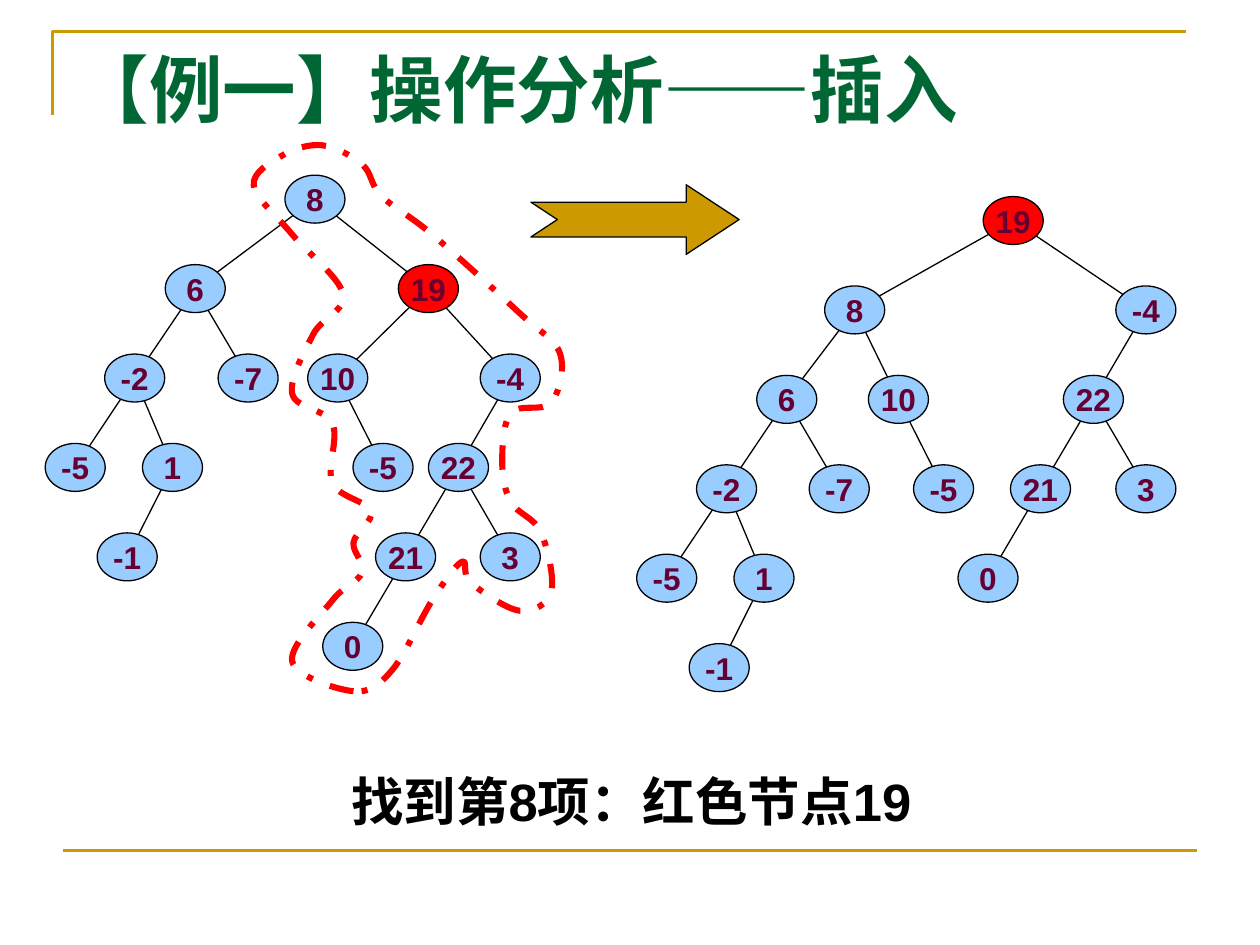
"""Build a slide on a list-tree insert, with the split path marked."""
from lxml import etree
from pptx import Presentation, util as u
from pptx.dml.color import RGBColor
from pptx.enum import dml, shapes, text
from pptx.oxml import ns

GOLD = RGBColor(0xCC, 0x99, 0x00)
GREEN = RGBColor(0x00, 0x66, 0x33)
BLUE = RGBColor(0x99, 0xCC, 0xFF)
RED = RGBColor(0xFF, 0x00, 0x00)
PLUM = RGBColor(0x66, 0x00, 0x33)
BLACK = RGBColor(0x00, 0x00, 0x00)

LEFT = ("8", 180,
        ("6", 111.6,
         ("-2", 77, ("-5", 43), ("1", 98.6, ("-1", 72.7))),
         ("-7", 141.8)),
        ("19", 244.8,
         ("10", 193, ("-5", 218.9)),
         ("-4", 291.6,
          ("22", 262, ("21", 231.8, ("0", 201.6)), ("3", 291.6)))))
RIGHT = ("19", 579,
         ("8", 488.4,
          ("6", 449.6,
           ("-2", 415.2, ("-5", 381), ("1", 436.6, ("-1", 411))),
           ("-7", 479.6)),
          ("10", 513.4, ("-5", 539.2))),
         ("-4", 654.8,
          ("22", 624.8, ("21", 594.6, ("0", 564.6)), ("3", 654.8))))
LOOP = [(202, 395), (167, 378), (190, 343), (207, 327), (202, 310),
        (212, 292), (190, 276), (190, 242), (167, 225), (179, 191),
        (196, 168), (167, 134), (145, 106), (161, 89), (184, 83),
        (207, 94), (218, 112), (247, 134), (297, 179), (320, 202),
        (315, 230), (292, 236), (287, 264), (292, 287), (309, 304),
        (315, 338), (297, 349), (269, 333), (264, 321), (247, 343),
        (224, 383)]


def put(item, vals):
    """Set each value of a dict on an object."""
    for name, val in vals.items():
        setattr(item, name, val)


def smooth(dots):
    """Return the Bezier points of a closed curve through the dots."""
    out = [dots[0]]
    for i, (bx, by) in enumerate(dots):
        ax, ay = dots[i - 1]
        cx, cy = dots[(i + 1) % len(dots)]
        dx, dy = dots[(i + 2) % len(dots)]
        out += [(bx + (cx - ax) / 6, by + (cy - ay) / 6),
                (cx - (dx - bx) / 6, cy - (dy - by) / 6), (cx, cy)]
    return out


class Board:
    """Hold the style and the slide, and draw each kind of element."""
    wide, high, step = 34.3, 27.4, 51.1
    node = {"name": "Arial", "size": u.Pt(18), "bold": True}
    head = {"name": "Times New Roman", "size": u.Pt(42), "bold": True}
    note = {"name": "Arial", "size": u.Pt(30), "bold": True}

    def __init__(self, slide):
        self.slide = slide
        self.draw = slide.shapes

    def paint(self, shape, fill, line, width):
        """Set fill, line and no shadow."""
        shape.shadow.inherit = False
        if fill is None:
            shape.fill.background()
        else:
            shape.fill.solid()
            shape.fill.fore_color.rgb = fill
        shape.line.color.rgb = line
        shape.line.width = u.Pt(width)

    def label(self, para, words, font, color):
        """Put one run of styled words in a paragraph."""
        run = para.add_run()
        run.text = words
        put(run.font, font)
        run.font.color.rgb = color

    def holder(self, index, words, box, font, color, form):
        """Fill and place a placeholder."""
        spot = self.slide.placeholders[index]
        put(spot, dict(zip(("left", "top", "width", "height"), map(u.Pt, box))))
        put(spot.text_frame, {"vertical_anchor": text.MSO_ANCHOR.TOP,
                              "auto_size": text.MSO_AUTO_SIZE.NONE})
        para = spot.text_frame.paragraphs[0]
        put(para, form)
        self.label(para, words, font, color)
        return para

    def line(self, start, end, color=BLACK, width=0.75):
        """Draw a straight line."""
        line = self.draw.add_connector(shapes.MSO_CONNECTOR.STRAIGHT,
                                       *map(u.Pt, (*start, *end)))
        line.line.color.rgb = color
        line.line.width = u.Pt(width)
        etree.SubElement(line._element.spPr, ns.qn("a:effectLst"))

    def trace(self, dots, color, width, close=False):
        """Draw an outline through the dots."""
        first, *rest = [(u.Pt(x), u.Pt(y)) for x, y in dots]
        pen = self.draw.build_freeform(*first)
        pen.add_line_segments(rest, close=close)
        shape = pen.convert_to_shape()
        self.paint(shape, None, color, width)
        return shape

    def curve(self, dots, color, width):
        """Draw a closed, smooth, dash-dot loop."""
        shape = self.trace(smooth(dots), color, width, close=True)
        shape.line.dash_style = dml.MSO_LINE.DASH_DOT
        legs = list(shape._element.iter(ns.qn("a:lnTo")))
        for i in range(0, len(legs) - 2, 3):
            bend = etree.Element(ns.qn("a:cubicBezTo"))
            legs[i].addprevious(bend)
            for leg in legs[i:i + 3]:
                bend.append(leg[0])
                leg.getparent().remove(leg)

    def arrow(self, box):
        """Draw the notched arrow."""
        shape = self.draw.add_shape(shapes.MSO_SHAPE.NOTCHED_RIGHT_ARROW,
                                    *map(u.Pt, box))
        shape.adjustments[1] = 0.76
        self.paint(shape, GOLD, BLACK, 0.75)

    def edges(self, node, y):
        """Join each node of a tree to its children."""
        _, x, *kids = node
        for kid in kids:
            self.line((x, y), (kid[1], y + self.step))
            self.edges(kid, y + self.step)

    def nodes(self, node, y):
        """Draw the ovals of a tree."""
        name, x, *kids = node
        box = (x - self.wide / 2, y - self.high / 2, self.wide, self.high)
        oval = self.draw.add_shape(shapes.MSO_SHAPE.OVAL, *map(u.Pt, box))
        self.paint(oval, RED if name == "19" else BLUE, BLACK, 0.75)
        put(oval.text_frame, {"word_wrap": False,
                              "vertical_anchor": text.MSO_ANCHOR.MIDDLE})
        para = oval.text_frame.paragraphs[0]
        para.alignment = text.PP_ALIGN.CENTER
        self.label(para, name, self.node, PLUM)
        for kid in kids:
            self.nodes(kid, y + self.step)

    def tree(self, root, y):
        """Draw a tree as one group, edges behind nodes."""
        self.draw = self.slide.shapes.add_group_shape().shapes
        self.edges(root, y)
        self.nodes(root, y)
        self.draw = self.slide.shapes


def main():
    """Build and save the slide."""
    deck = Presentation()
    put(deck, {"slide_width": u.Pt(720), "slide_height": u.Pt(540)})
    board = Board(deck.slides.add_slide(deck.slide_layouts[1]))
    board.trace([(30, 66), (30, 18), (678, 18)], GOLD, 1.5)
    board.line((36, 486), (684, 486), GOLD, 1.5)
    board.tree(LEFT, 113.8)
    board.arrow((303.4, 105.6, 119, 39.8))
    board.curve(LOOP, RED, 3.5)
    board.tree(RIGHT, 126)
    para = board.holder(1, "找到第8项：红色节点19", (36.7, 440, 648, 42.5),
                        board.note, BLACK,
                        {"alignment": text.PP_ALIGN.CENTER,
                         "line_spacing": 0.9, "space_before": u.Pt(7.5)})
    form = para._p.get_or_add_pPr()
    form.set("marL", str(u.Pt(27)))
    form.set("indent", str(u.Pt(-27)))
    etree.SubElement(form, ns.qn("a:buNone"))
    board.holder(0, "【例一】操作分析——插入", (36, 21.6, 648, 90),
                 board.head, GREEN, {"alignment": text.PP_ALIGN.LEFT})
    deck.save("out.pptx")


if __name__ == "__main__":
    main()
